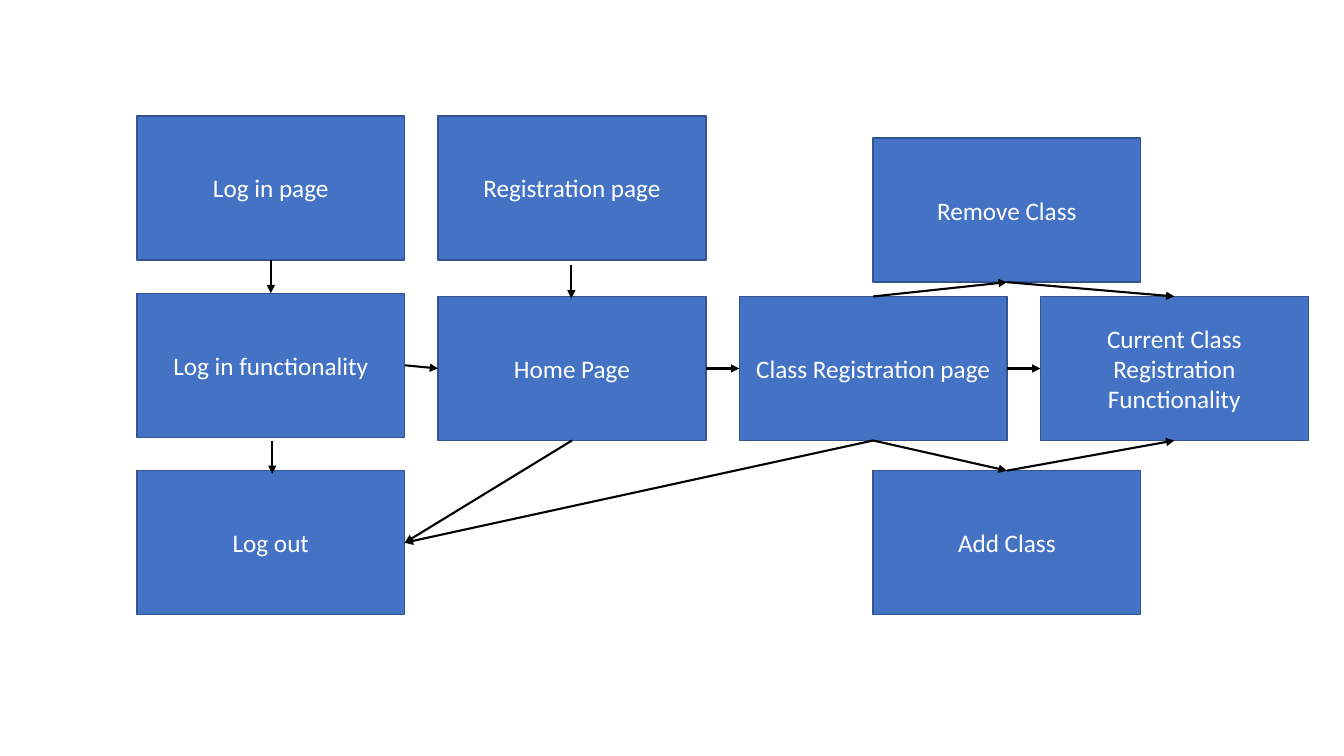
import pptx
import pptx.util
import pptx.dml.color
import pptx.enum.shapes
import pptx.enum.text
import pptx.oxml.ns
from lxml import etree
from pptx.util import Cm

COLORS = {"box": "4472C4", "border": "325491", "text": "FFFFFF", "arrow": "000000"}

BOX_WIDTH, BOX_HEIGHT = 6.75, 3.63
COLUMNS = [3.45 + 7.59 * i for i in range(4)]
ROWS = [2.92 + 4.47 * i for i in range(3)]
PAGE_TOP = 7.47
CLASS_LEFT = 22
REMOVE_TOP = 3.48

# Connection sites of a rectangle
TOP, LEFT, BOTTOM, RIGHT = range(4)

STEPS = {
    "login": ("Log in page", COLUMNS[0], ROWS[0]),
    "login_function": ("Log in functionality", COLUMNS[0], ROWS[1]),
    "logout": ("Log out", COLUMNS[0], ROWS[2]),
    "registration": ("Registration page", COLUMNS[1], ROWS[0]),
    "home": ("Home Page", COLUMNS[1], PAGE_TOP),
    "class_page": ("Class Registration page", COLUMNS[2], PAGE_TOP),
    "add": ("Add Class", CLASS_LEFT, ROWS[2]),
    "remove": ("Remove Class", CLASS_LEFT, REMOVE_TOP),
    "current": ("Current Class\nRegistration\nFunctionality", COLUMNS[3], PAGE_TOP),
}

FLOWS = [
    ("login", BOTTOM, "login_function", TOP),
    ("login_function", RIGHT, "home", LEFT),
    ("home", BOTTOM, "logout", RIGHT),
    ("home", RIGHT, "class_page", LEFT),
    ("class_page", TOP, "remove", BOTTOM),
    ("class_page", BOTTOM, "add", TOP),
    ("class_page", RIGHT, "current", LEFT),
    ("remove", BOTTOM, "current", TOP),
    ("add", TOP, "current", BOTTOM),
    ("class_page", BOTTOM, "logout", RIGHT),
]

# Vertical arrows that stand free of the boxes: x, start y
FREE_ARROWS = [(6.86, 11.1), (14.4, 6.68)]
FREE_LENGTH = 0.84


def rgb(name):
    return pptx.dml.color.RGBColor.from_string(COLORS[name])


def write_text(frame, text, *, size=18, font="Calibri", color="text",
               align=pptx.enum.text.PP_ALIGN.CENTER):
    frame.text = text
    frame.word_wrap = True
    frame.vertical_anchor = pptx.enum.text.MSO_ANCHOR.MIDDLE
    for paragraph in frame.paragraphs:
        paragraph.alignment = align
        paragraph.font.size = pptx.util.Pt(size)
        paragraph.font.name = font
        paragraph.font.color.rgb = rgb(color)


def add_step(slide, text, left, top):
    step = slide.shapes.add_shape(
        pptx.enum.shapes.MSO_SHAPE.RECTANGLE,
        Cm(left), Cm(top), Cm(BOX_WIDTH), Cm(BOX_HEIGHT))
    step.shadow.inherit = False
    step.fill.solid()
    step.fill.fore_color.rgb = rgb("box")
    step.line.color.rgb = rgb("border")
    step.line.width = pptx.util.Pt(1)
    write_text(step.text_frame, text)
    return step


def add_arrow(slide, x=0, start_y=0, end_y=0):
    arrow = slide.shapes.add_connector(
        pptx.enum.shapes.MSO_CONNECTOR.STRAIGHT,
        Cm(x), Cm(start_y), Cm(x), Cm(end_y))
    arrow.line.color.rgb = rgb("arrow")
    arrow.line.width = pptx.util.Pt(1.5)
    qn = pptx.oxml.ns.qn
    properties = arrow._element.spPr
    etree.SubElement(properties.find(qn("a:ln")), qn("a:tailEnd"), type="triangle")
    etree.SubElement(properties, qn("a:effectLst"))
    return arrow


def connect(slide, source, source_site, target, target_site):
    arrow = add_arrow(slide)
    arrow.begin_connect(source, source_site)
    arrow.end_connect(target, target_site)


def main():
    deck = pptx.Presentation()
    deck.slide_width, deck.slide_height = Cm(33.87), Cm(19.05)
    slide = deck.slides.add_slide(deck.slide_layouts[6])

    steps = {key: add_step(slide, *step) for key, step in STEPS.items()}
    for source, source_site, target, target_site in FLOWS:
        connect(slide, steps[source], source_site, steps[target], target_site)
    for x, start_y in FREE_ARROWS:
        add_arrow(slide, x, start_y, start_y + FREE_LENGTH)

    deck.save("out.pptx")


if __name__ == "__main__":
    main()
